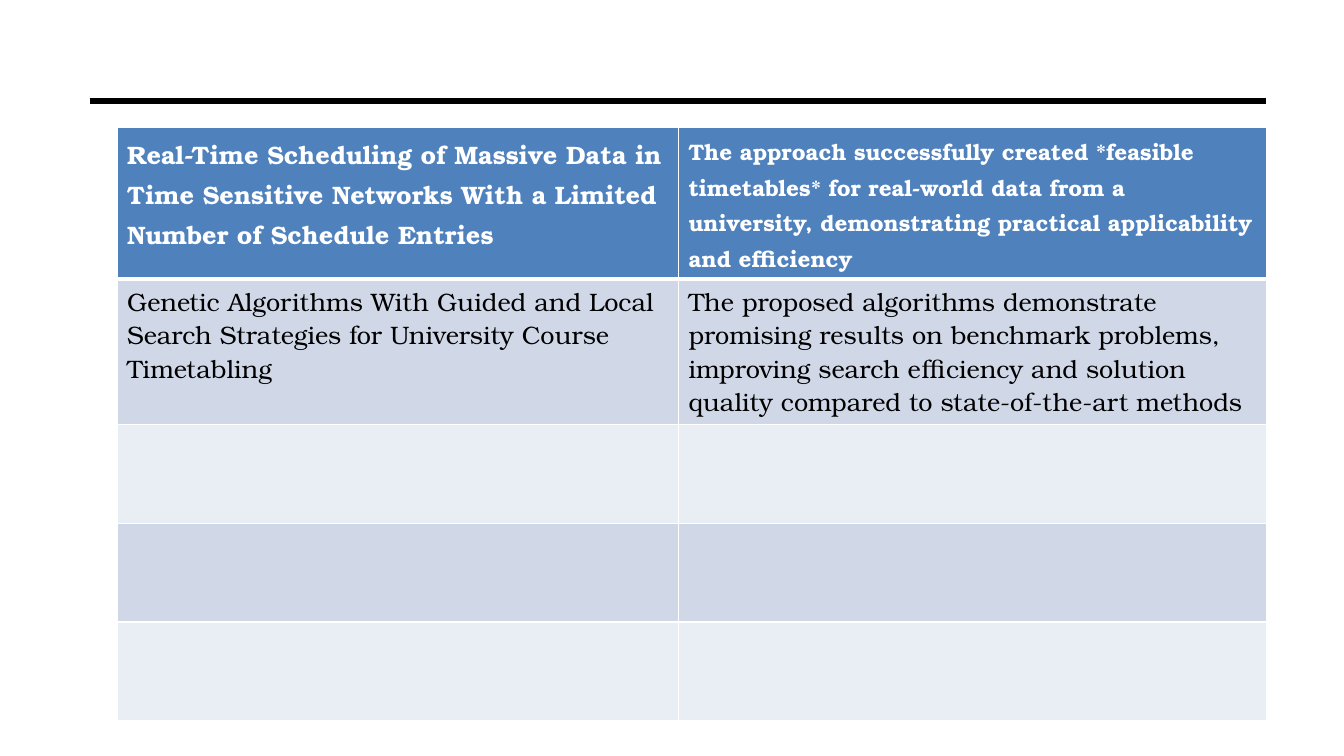
from lxml import etree
from pptx import Presentation
from pptx.dml.color import RGBColor
from pptx.enum.shapes import MSO_CONNECTOR
from pptx.oxml.ns import qn
from pptx.util import Cm, Pt

STRAIGHT = MSO_CONNECTOR.STRAIGHT
FONT = "TeX Gyre Bonum"
COLORS = {"header": "4F81BD", "dark band": "D0D8E8", "light band": "E9EDF4",
          "white": "FFFFFF", "black": "000000"}

COLUMN_WIDTHS = [14.15, 14.81]
ROW_HEIGHTS = [3.51, 3.66, 2.49, 2.49, 2.49]
ROWS = [
    ["Real-Time Scheduling of Massive Data in Time Sensitive Networks With a "
     "Limited Number of Schedule Entries",
     "The approach successfully created *feasible timetables* for real-world data "
     "from a university, demonstrating practical applicability and efficiency"],
    ["Genetic Algorithms With Guided and Local Search Strategies for University "
     "Course Timetabling",
     "The proposed algorithms demonstrate promising results on benchmark problems, "
     "improving search efficiency and solution quality compared to "
     "state-of-the-art methods"],
]


def rgb(name):
    return RGBColor.from_string(COLORS[name])


def set_borders(cell, bottom, top):
    """Draw white cell borders; bottom and top widths are in points."""
    tcPr = cell._tc.get_or_add_tcPr()
    widths = {"a:lnL": 1, "a:lnR": 1, "a:lnT": top, "a:lnB": bottom}
    for i, (tag, width) in enumerate(widths.items()):
        ln = etree.Element(qn(tag), w=str(Pt(width)))
        fill = etree.SubElement(ln, qn("a:solidFill"))
        etree.SubElement(fill, qn("a:srgbClr"), val=COLORS["white"])
        tcPr.insert(i, ln)


prs = Presentation()
prs.slide_width, prs.slide_height = Cm(33.87), Cm(19.05)
s = prs.slides.add_slide(prs.slide_layouts[6])

rule = s.shapes.add_connector(STRAIGHT, Cm(2.26), Cm(2.54), Cm(31.9), Cm(2.54))
rule.line.color.rgb = rgb("black")
rule.line.width = Pt(4.5)
etree.SubElement(rule._element.spPr, qn("a:effectLst"))

table = s.shapes.add_table(len(ROW_HEIGHTS), len(COLUMN_WIDTHS), Cm(2.95), Cm(3.2),
                           Cm(sum(COLUMN_WIDTHS)), Cm(sum(ROW_HEIGHTS))).table
for column, width in zip(table.columns, COLUMN_WIDTHS):
    column.width = Cm(width)

for i, height in enumerate(ROW_HEIGHTS):
    table.rows[i].height = Cm(height)
    header = i == 0
    band = "header" if header else "dark band" if i % 2 else "light band"
    for j in range(len(COLUMN_WIDTHS)):
        cell = table.cell(i, j)
        cell.fill.solid()
        cell.fill.fore_color.rgb = rgb(band)
        set_borders(cell, bottom=3 if header else 1, top=3 if i == 1 else 1)
        if i < len(ROWS):
            cell.text = ROWS[i][j]
            p = cell.text_frame.paragraphs[0]
            p.line_spacing = 1.09 if header else 1.0
            p.font.name = FONT
            p.font.size = Pt(16 if header and j == 1 else 18)
            p.font.bold = header
            p.font.color.rgb = rgb("white" if header else "black")

prs.save("out.pptx")
